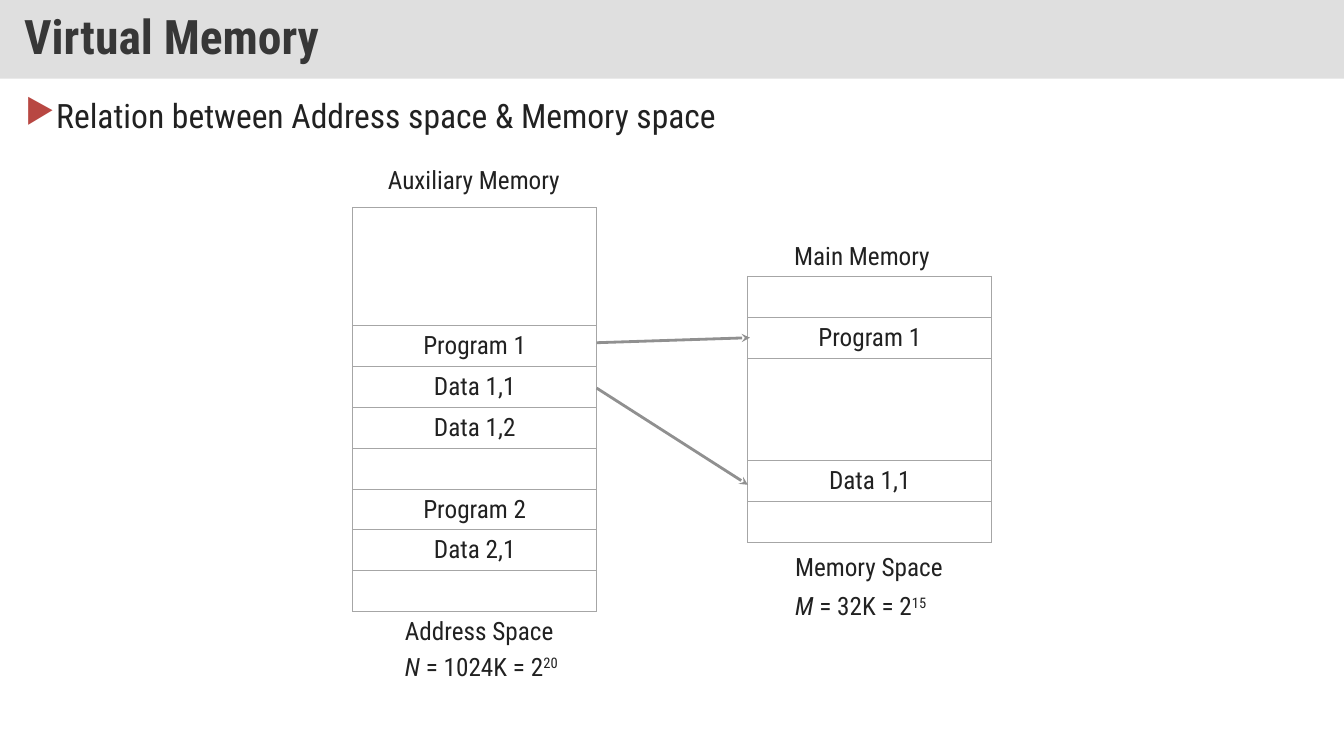
from lxml import etree
from pptx import Presentation
from pptx.dml.color import RGBColor
from pptx.enum.shapes import MSO_CONNECTOR, MSO_SHAPE
from pptx.enum.text import MSO_ANCHOR, MSO_AUTO_SIZE, PP_ALIGN
from pptx.oxml.ns import qn
from pptx.util import Pt

RECT = MSO_SHAPE.RECTANGLE
STRAIGHT = MSO_CONNECTOR.STRAIGHT
MIDDLE = MSO_ANCHOR.MIDDLE
GROW = MSO_AUTO_SIZE.SHAPE_TO_FIT_TEXT
LEFT, CENTER, JUSTIFY = PP_ALIGN.LEFT, PP_ALIGN.CENTER, PP_ALIGN.JUSTIFY

BAND = RGBColor(0xC0, 0xC0, 0xC0)
TITLE = RGBColor(0x37, 0x37, 0x37)
INK = RGBColor(0x21, 0x21, 0x21)
BULLET = RGBColor(0xB8, 0x47, 0x42)
BORDER = RGBColor(0xA6, 0xA6, 0xA6)
ARROW = RGBColor(0x90, 0x90, 0x90)

FONT = "Roboto Condensed"
SLIDE_W, SLIDE_H = 960, 540
ROW_H = 29.2
TABLE_W = 174.2
AUX_X, AUX_Y = 252, 148.3
MAIN_X, MAIN_Y = 534.2, 197.3


def add_xml(parent, tag, **attrs):
    return etree.SubElement(parent, qn(tag), attrs)


class Deck:
    def __init__(self, prs):
        self.s = prs.slides.add_slide(prs.slide_layouts[6])

    def style(self, r, size=18, color=INK, bold=False):
        r.font.name = FONT
        r.font.size = Pt(size)
        r.font.color.rgb = color
        r.font.bold = bold

    def title(self, text, height):
        sp = self.s.shapes.add_shape(RECT, 0, 0, Pt(SLIDE_W), Pt(height))
        sp.shadow.inherit = False
        sp.fill.solid()
        sp.fill.fore_color.rgb = BAND
        color = sp.fill._xPr.find(qn("a:solidFill"))[0]
        add_xml(color, "a:alpha", val="50000")
        sp.line.fill.background()
        tf = sp.text_frame
        tf.text = text
        tf.vertical_anchor = MIDDLE
        tf.margin_left = tf.margin_right = Pt(17.28)
        tf.margin_top = tf.margin_bottom = Pt(8.64)
        p = tf.paragraphs[0]
        p.alignment = LEFT
        p.line_spacing = 0.9
        self.style(p.runs[0], 34, TITLE, bold=True)

    def bullet(self, text, x, y, w, h):
        tf = self.s.shapes.add_textbox(Pt(x), Pt(y), Pt(w), Pt(h)).text_frame
        tf.word_wrap = True
        p = tf.paragraphs[0]
        p.text = text
        pPr = p._p.get_or_add_pPr()
        pPr.set("marL", str(Pt(20.9)))
        pPr.set("indent", str(-Pt(20.9)))
        add_xml(add_xml(pPr, "a:buClr"), "a:srgbClr", val=str(BULLET))
        add_xml(pPr, "a:buChar", char="▶")
        p.alignment = JUSTIFY
        p.line_spacing = 0.9
        self.style(p.runs[0], 24)

    def memory(self, x, y, rows):
        """Draw a one-column table from (text, height) rows."""
        total = sum(height for _, height in rows)
        table = self.s.shapes.add_table(
            len(rows), 1, Pt(x), Pt(y), Pt(TABLE_W), Pt(total)).table
        table.first_row = table.horz_banding = False
        for i, (text, height) in enumerate(rows):
            table.rows[i].height = Pt(height)
            cell = table.cell(i, 0)
            cell.margin_top = cell.margin_bottom = Pt(2)
            cell.vertical_anchor = MIDDLE
            if text:
                cell.text = text
                p = cell.text_frame.paragraphs[0]
                p.alignment = CENTER
                self.style(p.runs[0])
            tcPr = cell._tc.get_or_add_tcPr()
            for side in ("a:lnL", "a:lnR", "a:lnT", "a:lnB"):
                ln = add_xml(tcPr, side, w=str(Pt(0.75)))
                add_xml(add_xml(ln, "a:solidFill"), "a:srgbClr", val=str(BORDER))
            cell.fill.background()

    def arrow(self, x1, y1, x2, y2):
        sp = self.s.shapes.add_connector(STRAIGHT, Pt(x1), Pt(y1), Pt(x2), Pt(y2))
        sp.line.color.rgb = ARROW
        sp.line.width = Pt(2)
        add_xml(sp.line._get_or_add_ln(), "a:tailEnd", type="stealth")
        add_xml(sp._element.spPr, "a:effectLst")

    def label(self, x, y, w, text):
        tf = self.s.shapes.add_textbox(Pt(x), Pt(y), Pt(w), Pt(28.8)).text_frame
        tf.word_wrap = False
        tf.auto_size = GROW
        tf.text = text
        self.style(tf.paragraphs[0].runs[0])
        return tf.paragraphs[0]

    def formula(self, x, y, w, symbol, value, power):
        p = self.label(x, y, w, symbol)
        p.runs[0].font.italic = True
        for text in (value, power):
            r = p.add_run()
            r.text = text
            self.style(r)
        r._r.get_or_add_rPr().set("baseline", "30000")


def main():
    prs = Presentation()
    prs.slide_width, prs.slide_height = Pt(SLIDE_W), Pt(SLIDE_H)
    deck = Deck(prs)

    deck.title("Virtual Memory", 56.16)
    deck.bullet("Relation between Address space & Memory space", 10.8, 67.7, 689.8, 46)

    aux_rows = ["Program 1", "Data 1,1", "Data 1,2", "", "Program 2", "Data 2,1", ""]
    deck.memory(AUX_X, AUX_Y, [("", 84.2)] + [(text, ROW_H) for text in aux_rows])
    deck.memory(MAIN_X, MAIN_Y, [("", ROW_H), ("Program 1", ROW_H), ("", 73.4),
                                 ("Data 1,1", ROW_H), ("", ROW_H)])

    aux_right = AUX_X + TABLE_W
    deck.arrow(aux_right, 244.8, 535.7, 241.2)
    deck.arrow(aux_right, 277.2, MAIN_X, 346.3)

    deck.label(270, 113.8, 145.4, "Auxiliary Memory")
    deck.label(560.2, 167.8, 120.2, "Main Memory")
    deck.label(282.2, 436.3, 121, "Address Space")
    deck.label(560.9, 390.2, 125.3, "Memory Space")
    deck.formula(282.2, 461.5, 128.9, "N", " = 1024K = 2", "20")
    deck.formula(560.9, 418.3, 114.5, "M", " = 32K = 2", "15")

    prs.save("out.pptx")


if __name__ == "__main__":
    main()
